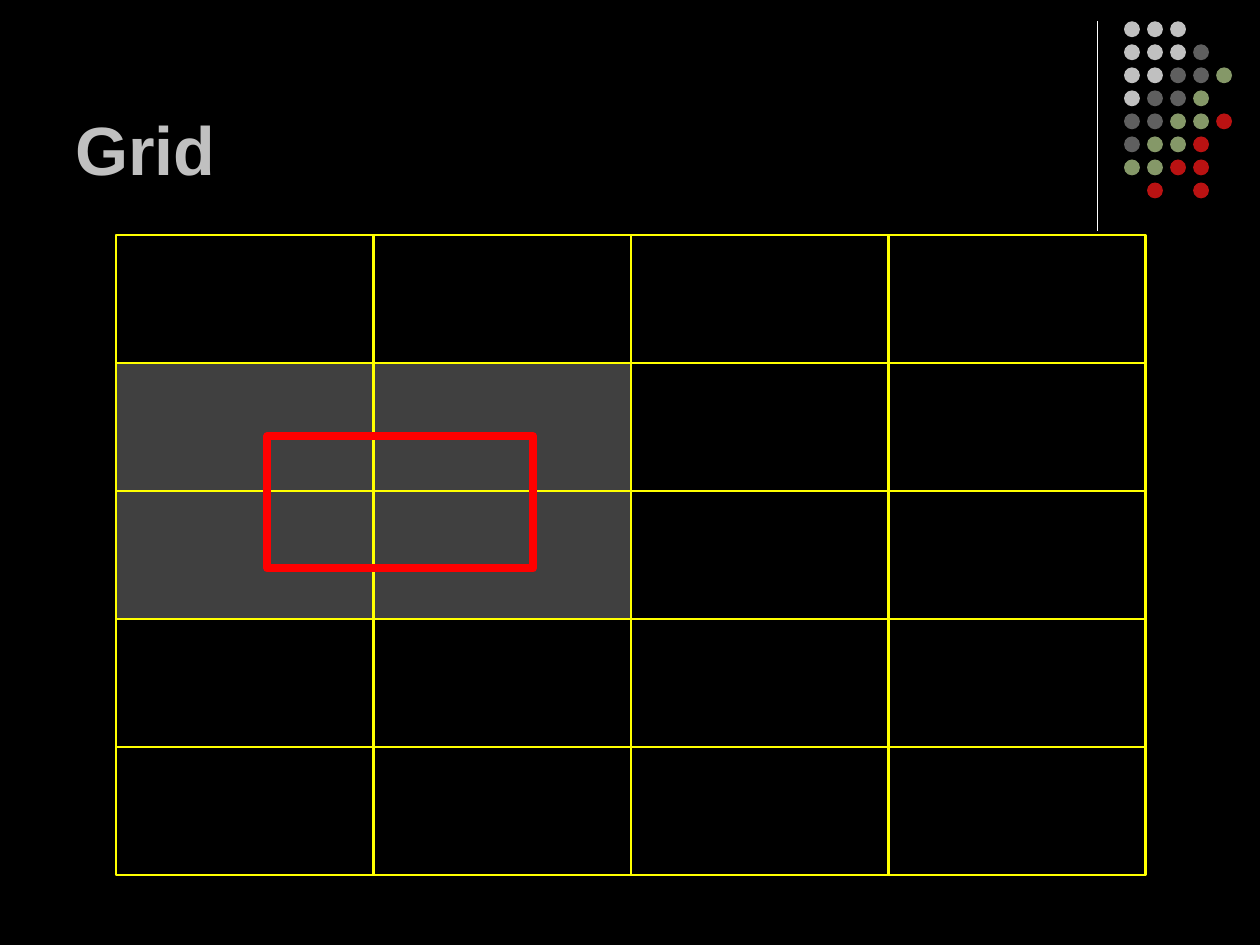
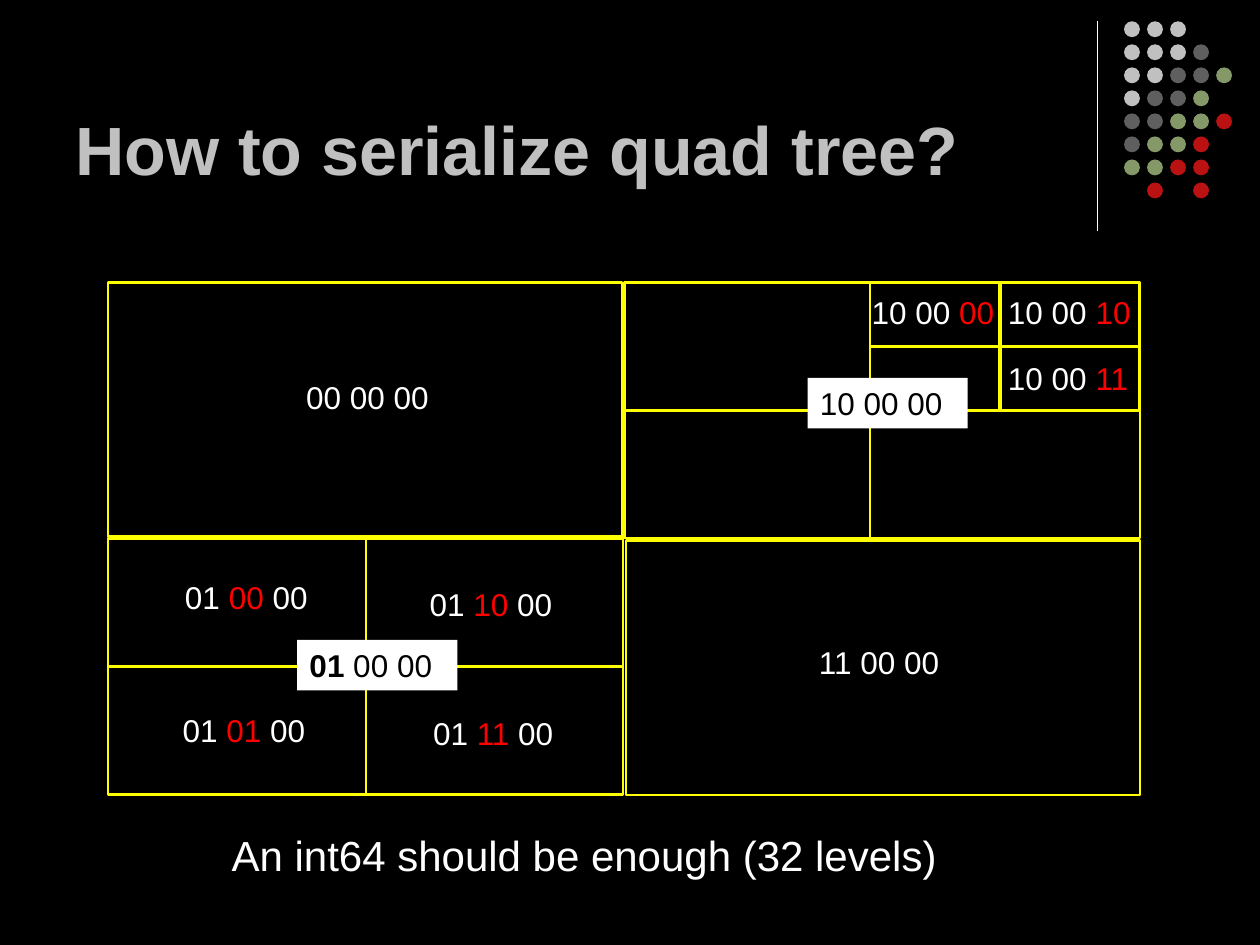
from itertools import product
from lxml.etree import SubElement
from pptx import Presentation
from pptx.dml.color import RGBColor
from pptx.enum.shapes import MSO_CONNECTOR, MSO_SHAPE as SHAPE
from pptx.enum.text import MSO_ANCHOR as ANCHOR
from pptx.oxml.ns import qn
from pptx.util import Cm, Pt

BLACK = RGBColor(0x00, 0x00, 0x00)
WHITE = RGBColor(0xFF, 0xFF, 0xFF)
SILVER = RGBColor(0xC0, 0xC0, 0xC0)
GREY = RGBColor(0x5F, 0x5F, 0x5F)
DARK = RGBColor(0x40, 0x40, 0x40)
GREEN = RGBColor(0x85, 0x98, 0x68)
CRIMSON = RGBColor(0xBA, 0x12, 0x12)
YELLOW = RGBColor(0xFF, 0xFF, 0x00)
RED = RGBColor(0xFF, 0x00, 0x00)

# Corner dots: one letter per dot, a space where there is none
DOT_ROWS = ["SSS", "SSSG", "SSGGN", "SGGN", "GGNNC", "GNNC", "NNCC", " C C"]
DOT_COLORS = {"S": SILVER, "G": GREY, "N": GREEN, "C": CRIMSON}
DOT_PITCH = 3.25 / 7
TITLES = ["Grid", "How to serialize quad tree?"]


def draw(s, shape, left, top, width, height, fill=None, line=None, weight=1.5):
    sp = s.shapes.add_shape(shape, Cm(left), Cm(top), Cm(width), Cm(height))
    sp.shadow.inherit = False
    if fill is None:
        sp.fill.background()
    else:
        sp.fill.solid()
        sp.fill.fore_color.rgb = fill
    if line is None:
        sp.line.fill.background()
    else:
        sp.line.color.rgb = line
        sp.line.width = Pt(weight)
    return sp


def write(s, left, top, width, height, parts, size=18, anchor=ANCHOR.TOP, fill=None):
    """Add a text box; parts are (text, colour, bold) runs."""
    sp = s.shapes.add_textbox(Cm(left), Cm(top), Cm(width), Cm(height))
    if fill is not None:
        sp.fill.solid()
        sp.fill.fore_color.rgb = fill
    tf = sp.text_frame
    tf.word_wrap = True
    tf.vertical_anchor = anchor
    for text, color, bold in parts:
        r = tf.paragraphs[0].add_run()
        r.text = text
        r.font.name = "Arial"
        r.font.size = Pt(size)
        r.font.bold = bold
        r.font.color.rgb = color


prs = Presentation()
prs.slide_width, prs.slide_height = Cm(25.4), Cm(19.05)
background = prs.slide_master.background.fill
background.solid()
background.fore_color.rgb = BLACK

# Shared frame: rule, corner dots and title
for title in TITLES:
    s = prs.slides.add_slide(prs.slide_layouts[6])
    rule = s.shapes.add_connector(
        MSO_CONNECTOR.STRAIGHT, Cm(22.12), Cm(0.43), Cm(22.12), Cm(4.65))
    rule.line.color.rgb = WHITE
    rule.line.width = Pt(0.75)
    SubElement(rule._element.spPr, qn("a:effectLst"))
    for row, dots in enumerate(DOT_ROWS):
        for col, dot in enumerate(dots):
            if dot != " ":
                draw(s, SHAPE.OVAL, 22.66 + col * DOT_PITCH, 0.43 + row * DOT_PITCH,
                     0.32, 0.32, DOT_COLORS[dot])
    write(s, 1.27, 0.33, 20.96, 3.61, [(title, SILVER, True)], 39, ANCHOR.BOTTOM)

grid_slide, tree_slide = prs.slides

# Grid: 4 columns by 5 rows, with the cells under the query window shaded
CELL_W, CELL_H = 5.19, 2.58
for col, row in product(range(4), range(5)):
    shaded = col < 2 and row in (1, 2)
    draw(grid_slide, SHAPE.RECTANGLE, 2.34 + col * CELL_W, 4.74 + row * CELL_H,
         CELL_W, CELL_H, DARK if shaded else None, YELLOW)
draw(grid_slide, SHAPE.RECTANGLE, 5.39, 8.79, 5.36, 2.67, line=RED, weight=4.5)

# Quad tree: each block is (left, width) columns, row tops and row height
BLOCKS = [
    ([(2.18, 10.36)], [5.69], 5.13),
    ([(12.62, 10.36)], [10.9], 5.13),
    ([(2.18, 5.2), (7.38, 5.18)], [10.86, 13.44], 2.58),
    ([(12.59, 4.95), (17.54, 5.44)], [5.69, 8.27], 2.58),
    ([(17.54, 2.6), (20.18, 2.78)], [5.69, 6.98], 1.29),
]
for columns, tops, height in BLOCKS:
    for (left, width), top in product(columns, tops):
        draw(tree_slide, SHAPE.RECTANGLE, left, top, width, height, line=YELLOW)

# Cell codes: left, top, width, then plain, highlighted and plain text
CODES = [
    (5.92, 7.49, 3.23, "00 00 00", "", ""),
    (16.26, 12.83, 3.23, "11 00 00", "", ""),
    (3.48, 11.53, 3.23, "01 ", "00", " 00"),
    (8.41, 11.66, 3.23, "01 ", "10", " 00"),
    (3.43, 14.2, 3.23, "01 ", "01", " 00"),
    (8.48, 14.27, 3.23, "01 ", "11", " 00"),
    (20.07, 5.79, 3.05, "10 00 ", "10", ""),
    (20.07, 7.11, 3.05, "10 00 ", "11", ""),
    (17.32, 5.79, 3.05, "10 00 ", "00", ""),
]
for left, top, width, *texts in CODES:
    parts = [(text, color, False)
             for text, color in zip(texts, (WHITE, RED, WHITE)) if text]
    write(tree_slide, left, top, width, 1.02, parts)

# Parent codes on white labels
write(tree_slide, 5.99, 12.9, 3.23, 1.02,
      [("01", BLACK, True), (" 00 00", BLACK, False)], fill=WHITE)
write(tree_slide, 16.28, 7.62, 3.23, 1.02, [("10 00 00", BLACK, False)], fill=WHITE)

# Caption
write(tree_slide, 4.42, 16.59, 15.85, 1.27,
      [("An int64 should be enough (32 levels)", WHITE, False)], 24)

prs.save("out.pptx")
